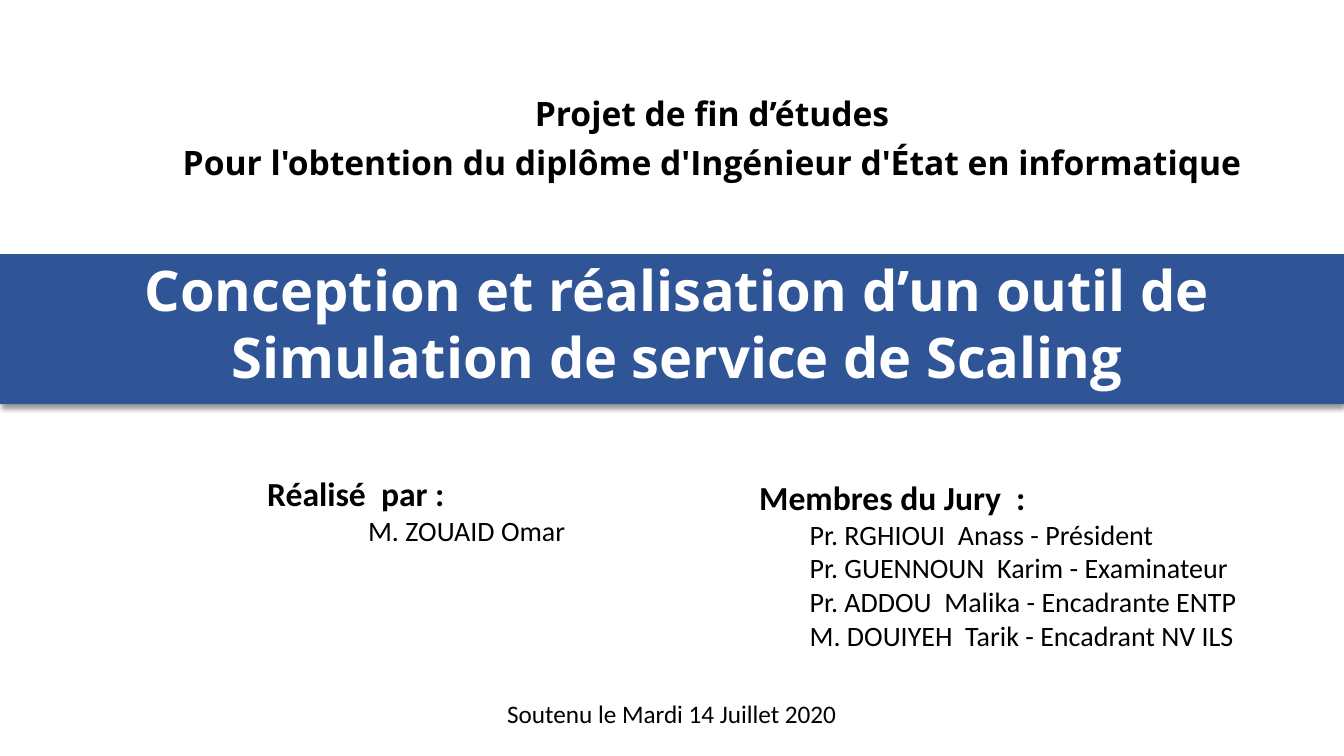
from dataclasses import dataclass

from lxml import etree
from pptx import Presentation
from pptx.dml.color import RGBColor
from pptx.enum.shapes import MSO_SHAPE
from pptx.enum.text import MSO_ANCHOR, MSO_AUTO_SIZE, PP_ALIGN
from pptx.oxml.ns import qn
from pptx.util import Pt

LEFT, CENTER = PP_ALIGN.LEFT, PP_ALIGN.CENTER
TOP, BOTTOM = MSO_ANCHOR.TOP, MSO_ANCHOR.BOTTOM
RECT = MSO_SHAPE.RECTANGLE
FIXED = MSO_AUTO_SIZE.NONE
BLACK, WHITE, BLUE = "000000", "FFFFFF", "2F5597"
WIDE, HIGH = 960, 540


@dataclass
class Line:
    text: str
    size: float
    bold: bool = False
    level: int = 0
    after: float = 0


@dataclass
class Block:
    box: tuple[float, float, float, float]
    lines: list[Line]
    font: str = "Calibri"
    color: str = BLACK
    align: PP_ALIGN = LEFT
    anchor: MSO_ANCHOR = TOP
    inset: tuple[float, float] = (3, 3)


def paint(fill, color: str) -> None:
    fill.solid()
    fill.fore_color.rgb = RGBColor.from_string(color)


def panel(shapes, box: tuple[float, float, float, float], color: str):
    shape = shapes.add_shape(RECT, *map(Pt, box))
    paint(shape.fill, color)
    shape.line.fill.background()
    shape.shadow.inherit = False
    return shape


def write(shape, block: Block) -> None:
    shape.left, shape.top, shape.width, shape.height = map(Pt, block.box)
    frame = shape.text_frame
    frame.word_wrap = True
    frame.auto_size = FIXED
    frame.vertical_anchor = block.anchor
    side, edge = map(Pt, block.inset)
    frame.margin_left = frame.margin_right = side
    frame.margin_top = frame.margin_bottom = edge
    frame.text = "\n".join(line.text for line in block.lines)
    for para, line in zip(frame.paragraphs, block.lines):
        para.level = line.level
        para.alignment = block.align
        para.space_before = Pt(0)
        para.space_after = Pt(line.after)
        for run in para.runs:
            run.font.name = block.font
            run.font.size = Pt(line.size)
            run.font.bold = line.bold
            paint(run.font.fill, block.color)


def shade(shape) -> None:
    effects = shape.element.spPr.find(qn("a:effectLst"))
    drop = etree.SubElement(effects, qn("a:outerShdw"), blurRad=str(Pt(4)),
                            dist=str(Pt(3)), dir="5400000", algn="t",
                            rotWithShape="0")
    tint = etree.SubElement(drop, qn("a:srgbClr"), val=BLACK)
    etree.SubElement(tint, qn("a:alpha"), val="40000")


degree = Block(
    (113.76, 62.64, 789.84, 71.28),
    [Line("Projet de fin d’études", 24, True, after=6),
     Line("Pour l'obtention du diplôme d'Ingénieur d'État en informatique",
          24, True)],
    font="Open Sans", align=CENTER, inset=(7.2, 3.6))
topic = Block(
    (53.28, 171.36, 860.4, 116.64),
    [Line("Conception et réalisation d’un outil de Simulation de service "
          "de Scaling", 40, True)],
    font="Open Sans", color=WHITE, align=CENTER, anchor=BOTTOM,
    inset=(19.44, 9.36))
author = Block(
    (187.92, 334.8, 233.28, 49.68),
    [Line("Réalisé  par :", 24, True), Line("M. ZOUAID Omar", 20, level=2)])
members = ["Pr. RGHIOUI  Anass - Président",
           "Pr. GUENNOUN  Karim - Examinateur",
           "Pr. ADDOU  Malika - Encadrante ENTP",
           "M. DOUIYEH  Tarik - Encadrant NV ILS"]
jury = Block(
    (539.28, 337.68, 380.88, 131.04),
    [Line("Membres du Jury  :", 24, True),
     *(Line(name, 20, level=1) for name in members)])
date = Block(
    (237.6, 495.36, 484.56, 28.8),
    [Line("Soutenu le Mardi 14 Juillet 2020", 18)],
    align=CENTER, inset=(7.2, 3.6))

deck = Presentation()
deck.slide_width, deck.slide_height = Pt(WIDE), Pt(HIGH)
slide = deck.slides.add_slide(deck.slide_layouts[0])
shapes = slide.shapes

head = panel(shapes, degree.box, WHITE)
band = panel(shapes, (0, 181.44, WIDE, 107.28), BLUE)
shade(band)
for shape in (head, band):
    shapes.title.element.addprevious(shape.element)

write(head, degree)
write(shapes.title, topic)
write(slide.placeholders[1], jury)
for block in (author, date):
    write(shapes.add_textbox(*map(Pt, block.box)), block)

deck.save("out.pptx")
